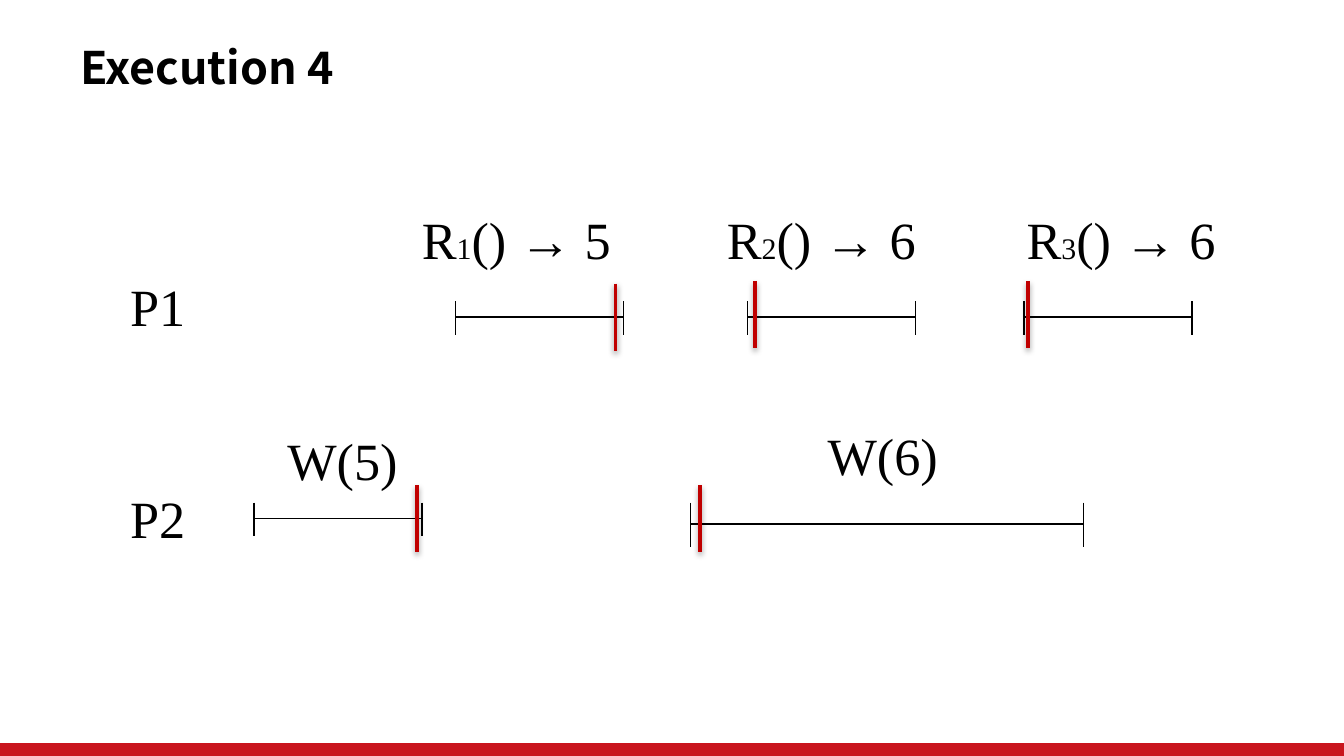
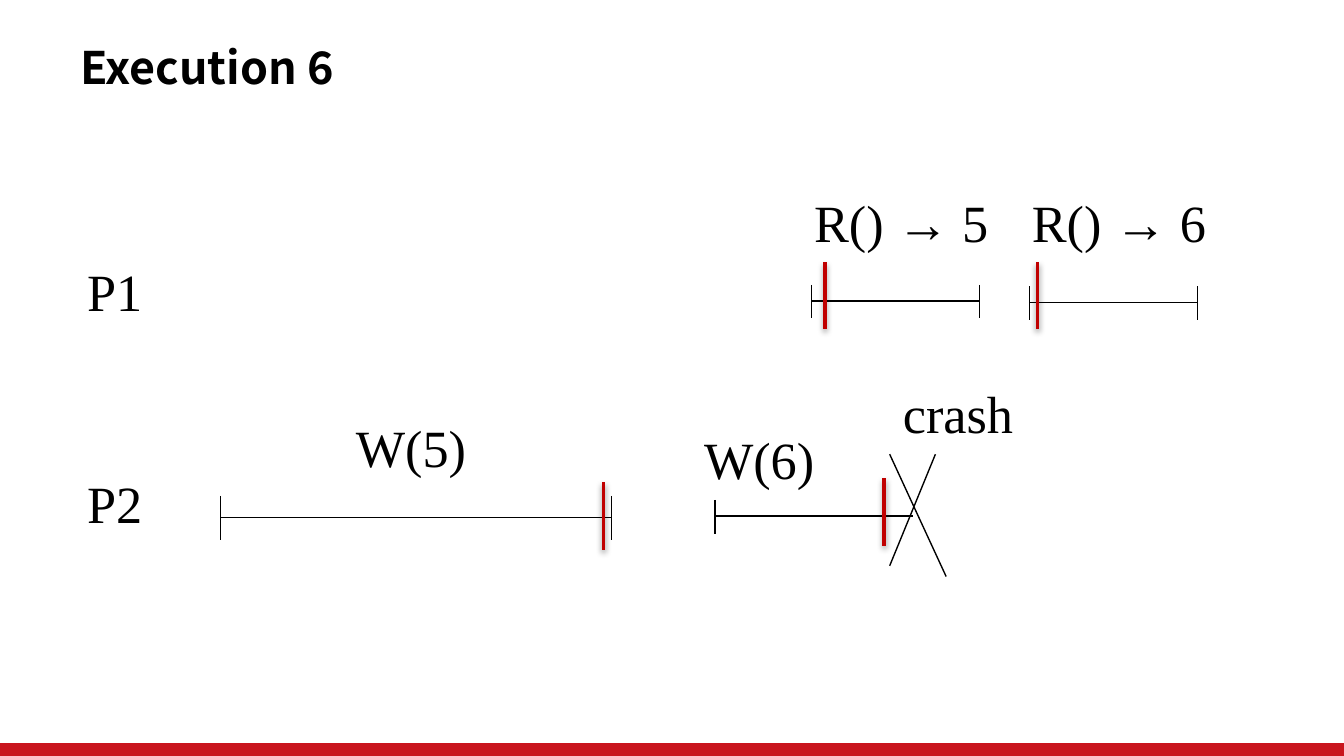
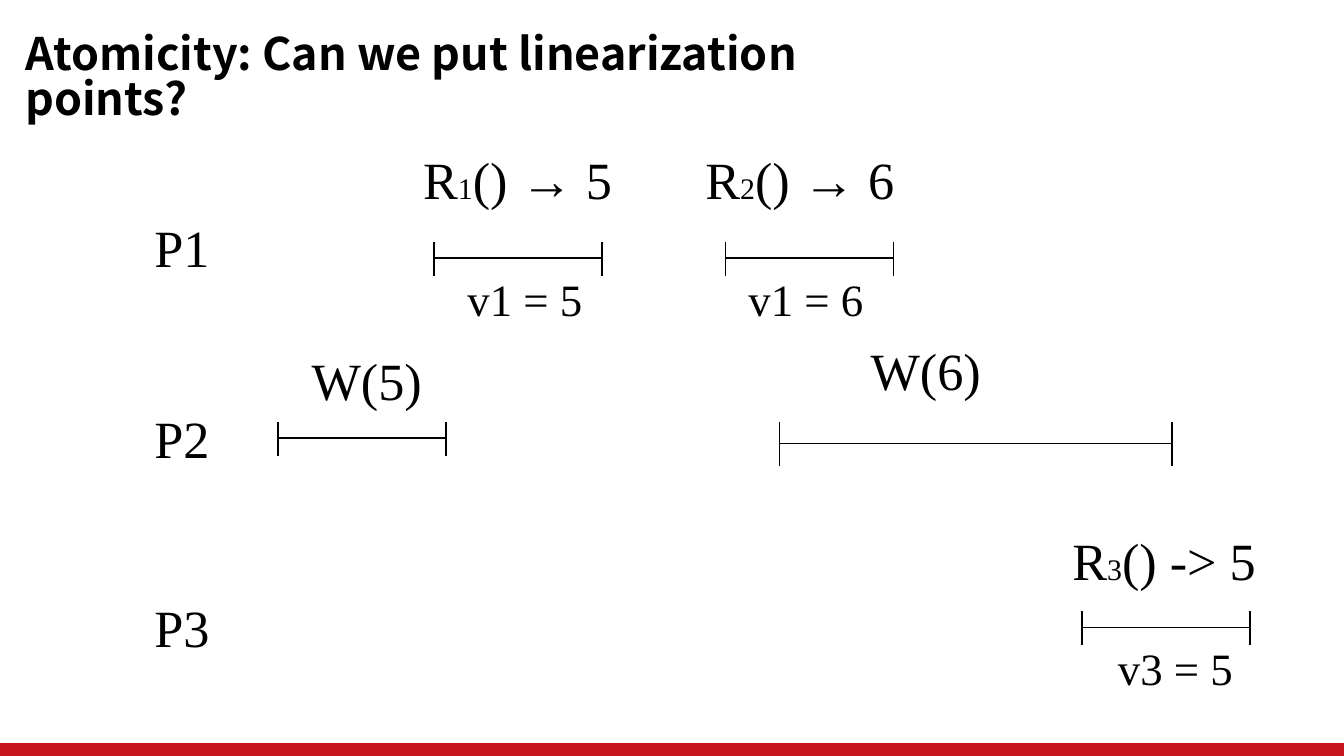
from dataclasses import dataclass

from lxml import etree
from pptx import Presentation
from pptx.dml.color import RGBColor
from pptx.enum.shapes import MSO_CONNECTOR, MSO_SHAPE
from pptx.enum.text import MSO_ANCHOR
from pptx.oxml.ns import qn
from pptx.util import Emu, Pt

STRAIGHT = MSO_CONNECTOR.STRAIGHT
RECTANGLE = MSO_SHAPE.RECTANGLE
TOP = MSO_ANCHOR.TOP
PX = 9144  # 100 px to the inch
SLIDE_WIDTH = 1000


@dataclass(frozen=True)
class Theme:
    ink: str = "000000"
    band: str = "C9151E"
    point: str = "C00000"
    title_font: str = "Noto Sans CJK SC"
    label_font: str = "Times New Roman"
    title_size: int = 24
    label_size: int = 28
    value_size: int = 24
    index_size: int = 16
    thin: float = 0.75
    thick: float = 2


THEME = Theme()

# Label kinds: width, height, type size
LABEL_KINDS = {
    "process": (61, 57, THEME.label_size),
    "write": (102, 57, THEME.label_size),
    "read": (150, 57, THEME.label_size),
    "indexed read": (161, 57, THEME.label_size),
    "value": (106, 50, THEME.value_size),
}
CAP_SHORT, CAP_LONG = 25, 33
POINT_HEIGHT = 50

# Labels: kind, text with the index between bars, left, top
# Intervals: start, end, y, cap height, closed at the end
# Points: x, top
SLIDES = [
    {
        "title": ("Execution 4", 50, 29),
        "labels": [
            ("process", "P1", 87, 199),
            ("process", "P2", 87, 357),
            ("write", "W(5)", 204, 314),
            ("write", "W(6)", 606, 310),
            ("indexed read", "R|1|() → 5", 304, 149),
            ("indexed read", "R|2|() → 6", 531, 149),
            ("indexed read", "R|3|() → 6", 754, 149),
        ],
        "intervals": [
            (189, 314, 386, CAP_SHORT, True),
            (514, 806, 390, CAP_LONG, True),
            (339, 464, 236, CAP_SHORT, True),
            (556, 681, 236, CAP_SHORT, True),
            (762, 887, 236, CAP_SHORT, True),
        ],
        "points": [(310, 361), (458, 211), (521, 361), (562, 209), (765, 209)],
    },
    {
        "title": ("Execution 6", 50, 29),
        "labels": [
            ("process", "P1", 55, 188),
            ("process", "P2", 55, 346),
            ("read", "R() → 5", 596, 137),
            ("read", "R() → 6", 758, 137),
            ("write", "W(5)", 255, 304),
            ("write", "W(6)", 514, 313),
            ("write", "crash", 662, 279),
        ],
        "intervals": [
            (604, 729, 224, CAP_SHORT, True),
            (766, 891, 225, CAP_SHORT, True),
            (164, 455, 385, CAP_LONG, True),
            (532, 679, 384, CAP_SHORT, False),
        ],
        "crash": [(696, 338, 662, 421), (662, 338, 704, 429)],
        "points": [(449, 359), (614, 195), (658, 356), (772, 195)],
    },
    {
        "title": ("Atomicity: Can we put linearization points?", 9, 19),
        "labels": [
            ("process", "P1", 105, 155),
            ("process", "P2", 105, 297),
            ("process", "P3", 105, 438),
            ("write", "W(5)", 222, 254),
            ("write", "W(6)", 638, 247),
            ("indexed read", "R|1|() → 5", 305, 105),
            ("indexed read", "R|2|() → 6", 515, 105),
            ("indexed read", "R|3|() -> 5", 788, 388),
            ("value", "v1 = 5", 338, 197),
            ("value", "v1 = 6", 547, 197),
            ("value", "v3 = 5", 822, 472),
        ],
        "intervals": [
            (323, 448, 192, CAP_SHORT, True),
            (540, 665, 192, CAP_SHORT, True),
            (207, 332, 326, CAP_SHORT, True),
            (580, 872, 330, CAP_LONG, True),
            (805, 930, 467, CAP_SHORT, True),
        ],
    },
]


def to_emu(*lengths):
    return [Emu(length * PX) for length in lengths]


def set_all(target, values):
    for name, value in values.items():
        setattr(target, name, value)


def add_text(slide, box, runs, frame_format, **font_format):
    """Add a one-paragraph text box from (text, size) runs."""
    frame = slide.shapes.add_textbox(*to_emu(*box)).text_frame
    set_all(frame, {"vertical_anchor": TOP, **frame_format})
    paragraph = frame.paragraphs[0]
    for text, size in runs:
        run = paragraph.add_run()
        run.text = text
        set_all(run.font, {"size": Pt(size), **font_format})
        run.font.color.rgb = RGBColor.from_string(THEME.ink)
    return paragraph


def add_line(slide, ends, color=THEME.ink, width=THEME.thin):
    """Add a straight line and return its empty effect list."""
    connector = slide.shapes.add_connector(STRAIGHT, *to_emu(*ends))
    connector.line.color.rgb = RGBColor.from_string(color)
    connector.line.width = Pt(width)
    properties = connector._element.find(qn("p:spPr"))
    return etree.SubElement(properties, qn("a:effectLst"))


def add_frame(slide, title, left, top, slide_height):
    # Footer band
    band_top = 553 * PX
    band = slide.shapes.add_shape(RECTANGLE, 0, band_top, SLIDE_WIDTH * PX, slide_height - band_top)
    band.shadow.inherit = False
    band.fill.solid()
    band.fill.fore_color.rgb = RGBColor.from_string(THEME.band)
    band.line.fill.background()
    # Title
    paragraph = add_text(
        slide, (left, top, 696, 49), [(title, THEME.title_size)],
        {"word_wrap": True, "margin_top": Emu(7 * PX)},
        name=THEME.title_font, bold=True,
    )
    paragraph.line_spacing = 0.83


def add_label(slide, kind, text, left, top):
    width, height, size = LABEL_KINDS[kind]
    runs = [
        (part, THEME.index_size if position % 2 else size)
        for position, part in enumerate(text.split("|"))
    ]
    add_text(slide, (left, top, width, height), runs, {"word_wrap": False}, name=THEME.label_font)


def add_interval(slide, start, end, y, cap, closed):
    add_line(slide, (start, y, end, y))
    cap_top = y - cap // 2
    for x in (start, end) if closed else (start,):
        add_line(slide, (x, cap_top, x, cap_top + cap))


def add_point(slide, x, top):
    """Add a linearization point with a soft shadow below it."""
    effects = add_line(slide, (x, top, x, top + POINT_HEIGHT), THEME.point, THEME.thick)
    shadow = etree.SubElement(
        effects, qn("a:outerShdw"),
        blurRad=str(Pt(3.1)), dist=str(Pt(1.6)), dir="5400000", rotWithShape="0",
    )
    color = etree.SubElement(shadow, qn("a:srgbClr"), val=THEME.ink)
    etree.SubElement(color, qn("a:alpha"), val="38000")


def main():
    presentation = Presentation()
    presentation.slide_width = Emu(SLIDE_WIDTH * PX)
    presentation.slide_height = Emu(SLIDE_WIDTH * PX * 9 // 16)
    blank = presentation.slide_layouts[6]
    for content in SLIDES:
        slide = presentation.slides.add_slide(blank)
        add_frame(slide, *content["title"], presentation.slide_height)
        for interval in content["intervals"]:
            add_interval(slide, *interval)
        for label in content["labels"]:
            add_label(slide, *label)
        for stroke in content.get("crash", []):
            add_line(slide, stroke)
        for point in content.get("points", []):
            add_point(slide, *point)
    presentation.save("out.pptx")


if __name__ == "__main__":
    main()
